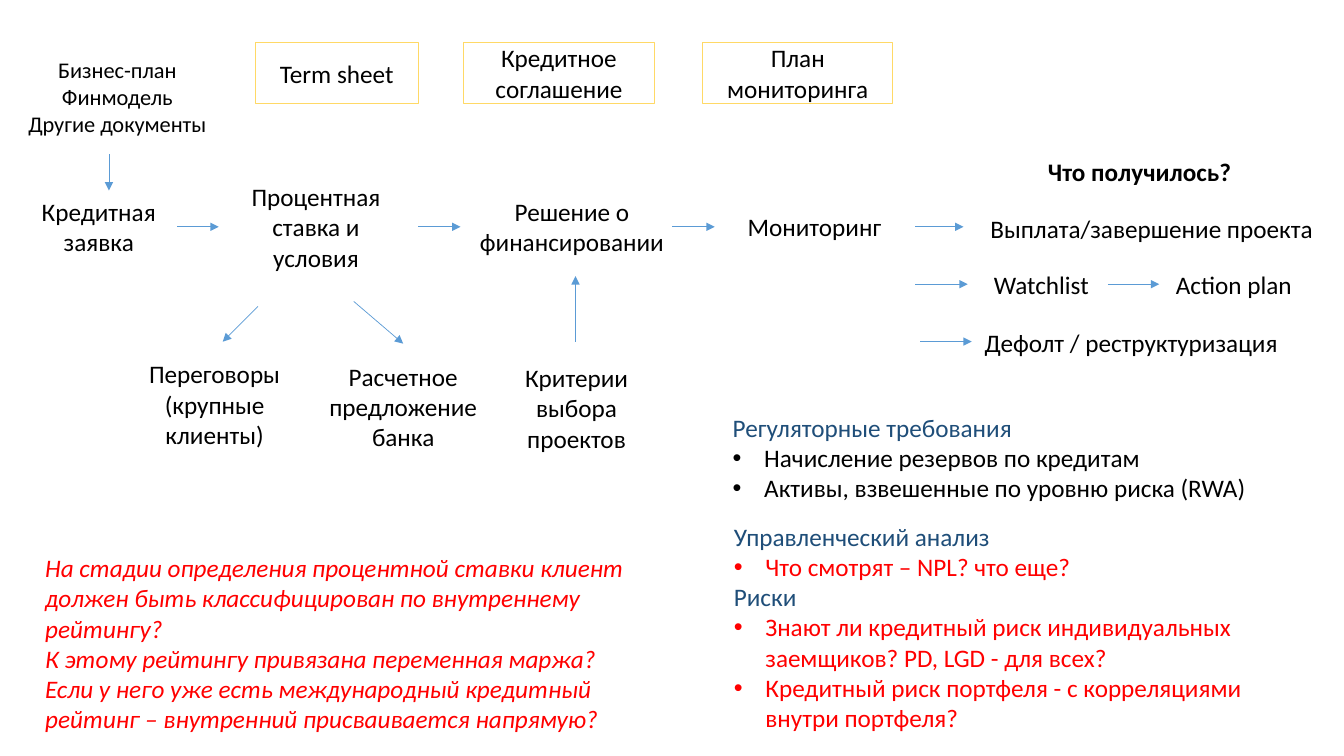
from dataclasses import dataclass
from typing import Optional

import pptx
import pptx.dml.color
import pptx.enum.shapes
import pptx.enum.text
import pptx.oxml.ns
import pptx.util
from lxml import etree

Pt = pptx.util.Pt
RGBColor = pptx.dml.color.RGBColor
Align = pptx.enum.text.PP_ALIGN
Anchor = pptx.enum.text.MSO_ANCHOR
qn = pptx.oxml.ns.qn

BLACK = RGBColor(0, 0, 0)
WHITE = RGBColor(255, 255, 255)
RED = RGBColor(255, 0, 0)
NAVY = RGBColor(0x1F, 0x4E, 0x79)
BLUE = RGBColor(0x5B, 0x9B, 0xD5)
YELLOW = RGBColor(0xFF, 0xD9, 0x66)
FONT = "Calibri"
INDENT = 22.5


@dataclass(frozen=True)
class Line:
    text: str
    color: RGBColor = BLACK
    bullet: bool = False


@dataclass(frozen=True)
class Block:
    left: float
    top: float
    width: float
    height: float
    lines: tuple[Line, ...]
    size: float = 18
    align: Align = Align.CENTER
    anchor: Anchor = Anchor.TOP
    bold: bool = False
    italic: bool = False
    outline: Optional[RGBColor] = None


@dataclass(frozen=True)
class Arrow:
    x1: float
    y1: float
    x2: float
    y2: float


def plain(*texts: str, color: RGBColor = BLACK) -> tuple[Line, ...]:
    return tuple(Line(text, color) for text in texts)


def document(left: float, width: float, text: str) -> Block:
    return Block(left, 30.2, width, 44, plain(text), anchor=Anchor.MIDDLE, outline=YELLOW)


STAGE_Y = 162
WATCH_Y = 203
DEFAULT_Y = 244

HEADING = Block(684, 108, 260, 28.8, plain("Что получилось?"), bold=True)

LISTS = (
    Block(516.2, 290.9, 443, 72.7, (
        Line("Регуляторные требования", NAVY),
        Line("Начисление резервов по кредитам", bullet=True),
        Line("Активы, взвешенные по уровню риска (RWA)", bullet=True),
    ), align=Align.LEFT),
    Block(517, 368.6, 414, 159.8, (
        Line("Управленческий анализ", NAVY),
        Line("Что смотрят – NPL? что еще?", RED, True),
        Line("Риски", NAVY),
        Line("Знают ли кредитный риск индивидуальных заемщиков? PD, LGD - для всех?", RED, True),
        Line("Кредитный риск портфеля - с корреляциями внутри портфеля?", RED, True),
    ), align=Align.LEFT),
)

BLOCKS = (
    Block(12.2, 36.7, 143.3, 65.5, plain("Бизнес-план", "Финмодель", "Другие документы"),
          size=16, outline=WHITE),
    document(182.2, 116.6, "Term sheet"),
    document(331.2, 136.1, "Кредитное соглашение"),
    document(501.8, 136.1, "План мониторинга"),
    Block(15.1, 136.8, 110.9, 51, plain("Кредитная заявка")),
    Block(156.2, 126, 139, 72.7, plain("Процентная ставка и условия")),
    Block(329, 136.8, 159.1, 51, plain("Решение о финансировании")),
    Block(509.8, 147.6, 144, 28.8, plain("Мониторинг")),
    Block(694.1, 149, 257, 28.8, plain("Выплата/завершение проекта")),
    Block(694.1, 188.9, 99.4, 28.8, plain("Watchlist")),
    Block(831.6, 188.9, 99.4, 28.8, plain("Action plan")),
    Block(696.2, 230.4, 263, 28.8, plain("Дефолт / реструктуризация"), align=Align.LEFT),
    Block(95, 252.7, 116.6, 72.7, plain("Переговоры", "(крупные клиенты)")),
    Block(212.4, 254.5, 151.2, 72.7, plain("Расчетное предложение", "банка")),
    Block(352.1, 255.4, 119.5, 72.7, plain("Критерии выбора проектов")),
    Block(25.2, 391, 430.6, 138.2, plain(
        "На стадии определения процентной ставки клиент должен быть "
        "классифицирован по внутреннему рейтингу?",
        "К этому рейтингу привязана переменная маржа?",
        "Если у него уже есть международный кредитный рейтинг – "
        "внутренний присваивается напрямую?",
        color=RED), align=Align.LEFT, italic=True),
)

ARROWS = (
    Arrow(77.8, 110.2, 77.8, 136.1),
    Arrow(126.7, STAGE_Y, 156.2, STAGE_Y),
    Arrow(298.8, STAGE_Y, 329, STAGE_Y),
    Arrow(480.2, STAGE_Y, 510.5, STAGE_Y),
    Arrow(653.8, STAGE_Y, 688.3, STAGE_Y),
    Arrow(653.8, WATCH_Y, 691.2, WATCH_Y),
    Arrow(791.3, WATCH_Y, 828, WATCH_Y),
    Arrow(657.4, DEFAULT_Y, 694.1, DEFAULT_Y),
    Arrow(184.3, 218.9, 159.1, 244.1),
    Arrow(252.7, 215.3, 288, 245.5),
    Arrow(411.1, 244.1, 411.1, 197.3),
)


def set_bullet(para, bullet: bool) -> None:
    props = para._p.get_or_add_pPr()
    indent = Pt(INDENT) if bullet else 0
    props.set("marL", str(indent))
    props.set("indent", str(-indent))
    if bullet:
        etree.SubElement(props, qn("a:buFont")).set("typeface", "Arial")
        etree.SubElement(props, qn("a:buChar")).set("char", "•")
    else:
        etree.SubElement(props, qn("a:buNone"))


def write_text(shape, block: Block) -> None:
    shape.left, shape.top = Pt(block.left), Pt(block.top)
    shape.width, shape.height = Pt(block.width), Pt(block.height)
    frame = shape.text_frame
    frame.word_wrap = True
    frame.auto_size = pptx.enum.text.MSO_AUTO_SIZE.NONE
    frame.vertical_anchor = block.anchor
    frame.margin_left = frame.margin_right = Pt(7.2)
    frame.margin_top = frame.margin_bottom = Pt(3.6)
    for index, line in enumerate(block.lines):
        para = frame.add_paragraph() if index else frame.paragraphs[0]
        para.alignment = block.align
        para.line_spacing = 1.0
        para.space_before = para.space_after = Pt(0)
        set_bullet(para, line.bullet)
        span = para.add_run()
        span.text = line.text
        span.font.name = FONT
        span.font.size = Pt(block.size)
        span.font.bold = block.bold
        span.font.italic = block.italic
        span.font.color.rgb = line.color


def add_block(page, block: Block) -> None:
    area = (Pt(block.left), Pt(block.top), Pt(block.width), Pt(block.height))
    if block.outline is None:
        box = page.shapes.add_textbox(*area)
    else:
        box = page.shapes.add_shape(pptx.enum.shapes.MSO_SHAPE.RECTANGLE, *area)
        box.shadow.inherit = False
        box.fill.background()
        box.line.color.rgb = block.outline
        box.line.width = Pt(0.75)
    write_text(box, block)


def add_arrow(page, arrow: Arrow) -> None:
    connector = page.shapes.add_connector(
        pptx.enum.shapes.MSO_CONNECTOR.STRAIGHT,
        Pt(arrow.x1), Pt(arrow.y1), Pt(arrow.x2), Pt(arrow.y2))
    connector.line.color.rgb = BLUE
    connector.line.width = Pt(0.5)
    etree.SubElement(connector.line._get_or_add_ln(), qn("a:tailEnd")).set("type", "triangle")
    etree.SubElement(connector._element.spPr, qn("a:effectLst"))


def main() -> None:
    deck = pptx.Presentation()
    deck.slide_width, deck.slide_height = Pt(960), Pt(540)
    page = deck.slides.add_slide(deck.slide_layouts.get_by_name("Two Content"))
    for holder, block in zip(page.placeholders, (HEADING, *LISTS)):
        write_text(holder, block)
    for block in BLOCKS:
        add_block(page, block)
    for arrow in ARROWS:
        add_arrow(page, arrow)
    deck.save("out.pptx")


if __name__ == "__main__":
    main()
